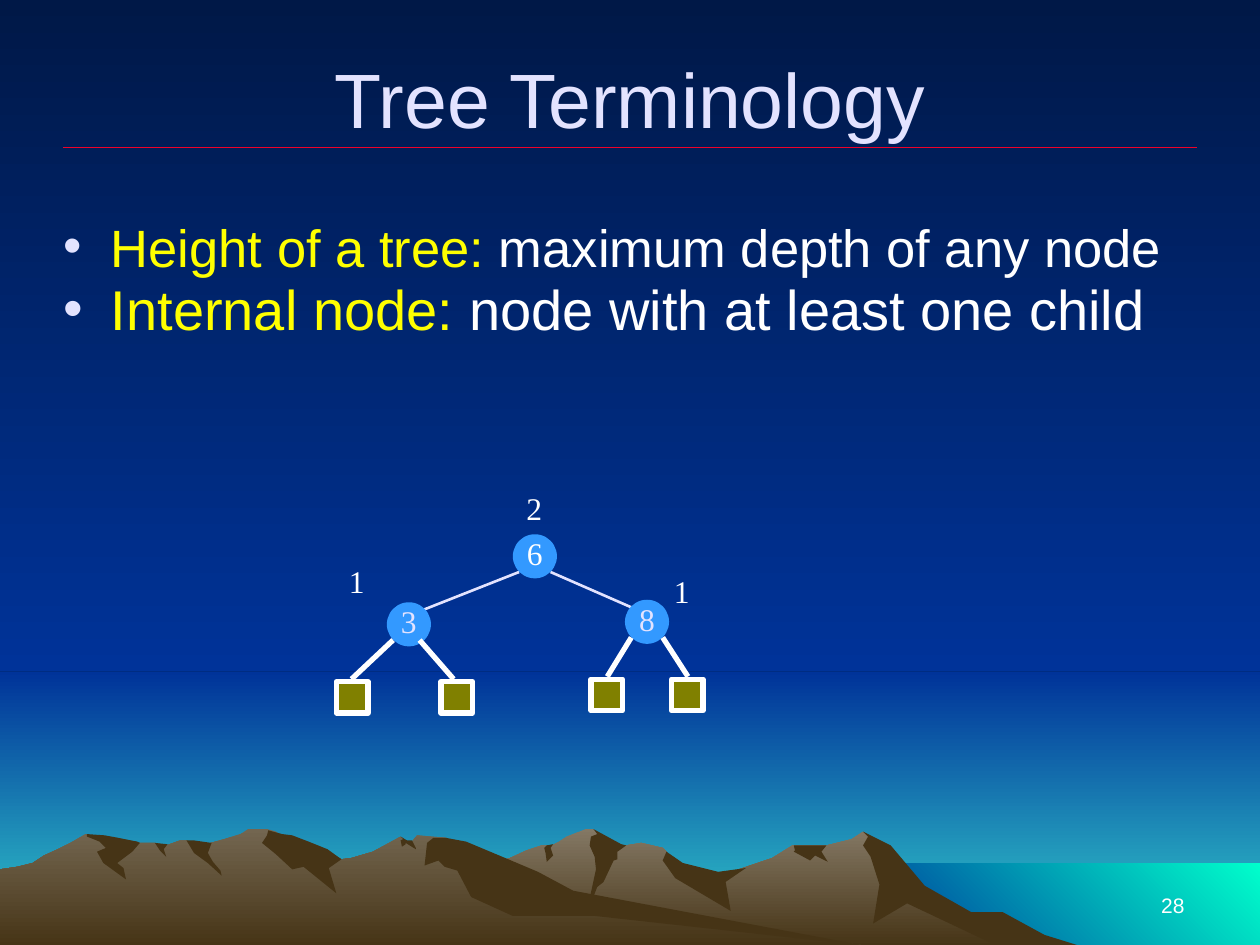
from collections import namedtuple

from lxml.etree import SubElement
from pptx import Presentation
from pptx.dml.color import RGBColor
from pptx.enum.shapes import MSO_CONNECTOR as Connector, MSO_SHAPE as Preset
from pptx.enum.text import MSO_ANCHOR as Anchor, MSO_AUTO_SIZE as AutoSize, PP_ALIGN as Align
from pptx.oxml.ns import qn
from pptx.util import Inches, Pt

Box = namedtuple("Box", "left top width height")

WHITE = RGBColor(0xFF, 0xFF, 0xFF)
LAVENDER = RGBColor(0xE3, 0xE3, 0xFF)
YELLOW = RGBColor(0xFF, 0xFF, 0x00)
RED = RGBColor(0xEF, 0x01, 0x29)
NIGHT = RGBColor(0x00, 0x18, 0x47)
BLUE = RGBColor(0x00, 0x33, 0x99)
TURQUOISE = RGBColor(0x33, 0xCC, 0xCC)
AQUA = RGBColor(0x00, 0xFF, 0xCC)
BROWN = RGBColor(0x46, 0x34, 0x16)
STONE = RGBColor(0x84, 0x78, 0x64)
DUST = RGBColor(0x73, 0x66, 0x50)
NODE_BLUE = RGBColor(0x33, 0x99, 0xFF)
OLIVE = RGBColor(0x80, 0x80, 0x00)

SANS, SERIF = "Arial", "Times New Roman"
COLUMNS, ROWS = 1000, 750
UNIT = Inches(10) // COLUMNS
DOWN, UP_RIGHT = 270, 45
NODE, LEAF = 35, 25

RIGHT_RIDGE = """544,90 520,77 506,73 465,48 444,21 427,10 418,16 398,21 371,21 355,31 308,47 278,40 271,26
268,23 251,19 239,21 228,23 216,11 213,8 207,8 192,14 186,18 180,21 172,21 160,25 147,31 137,34 97,48
69,59 19,89 0,101 563,101"""
LEFT_RIDGE = """690,101 667,98 432,62 354,15 331,13 327,18 323,18 318,14 296,26 279,31 271,32 260,26 236,31
223,13 219,10 212,8 197,8 191,12 178,16 160,21 148,17 143,17 132,21 123,19 111,19 94,21 68,12 56,19
46,24 35,29 26,35 14,38 0,40 0,101"""
RIGHT_SHADOWS = [
    """796,74 771,74 734,53 707,21 685,10 689,14 685,21 691,30 698,52 693,83 720,67 792,101 858,101
    829,92""",
    """471,8 474,12 469,14 468,21 472,30 473,40 465,77 474,54 479,50 487,33 490,32 490,26 497,21
    493,20""",
    "529,26 526,33 536,47 580,73 576,50 592,39 570,42 542,35",
    "650,21 630,21 631,25 630,26 643,33 647,29 657,34 652,26 656,21",
    "433,27 432,23 434,21 439,20 437,23 439,29 434,34",
]
LEFT_SHADOWS = [
    """212,13 208,19 219,28 232,40 241,38 267,59 261,39 271,32 260,24 245,18 232,13 224,12 213,9""",
    """370,18 354,15 344,15 339,19 337,37 348,33 353,38 363,41 374,62 407,77 472,77 690,101 683,100
    455,57 427,42 401,31""",
    "318,17 320,16 318,14 323,17 327,17 330,23 330,24 322,19 322,20 319,22",
    "154,17 168,19 165,27 169,34 175,41 176,45 165,35 154,27 148,17",
    "133,20 130,24 132,30 127,25 123,19",
    """109,18 111,19 105,26 93,35 98,39 100,48 82,35 77,26 84,23 79,18 69,14 69,12 83,13 94,15""",
]


def place(shape, box):
    """Set a shape's position and size from a box in grid units."""
    shape.left, shape.top, shape.width, shape.height = (UNIT * value for value in box)


def paint(fill, *colors, angle=DOWN):
    """Fill with one colour or with a gradient between two."""
    if len(colors) == 1:
        fill.solid()
        fill.fore_color.rgb = colors[0]
        return
    fill.gradient()
    fill.gradient_angle = angle
    for stop, color in zip(fill.gradient_stops, colors):
        stop.color.rgb = color


def finish(shape, *colors, angle=DOWN):
    """Paint a shape and take away its outline and shadow."""
    shape.shadow.inherit = False
    shape.line.fill.background()
    paint(shape.fill, *colors, angle=angle)
    return shape


def add_preset(slide, preset, box, *colors, angle=DOWN):
    """Add a preset shape in a box of grid units."""
    shape = slide.shapes.add_shape(preset, *(UNIT * value for value in box))
    return finish(shape, *colors, angle=angle)


def add_outline(slide, box, points, *colors):
    """Add a closed outline whose points are relative to the box."""
    first, *rest = [tuple(map(int, point.split(","))) for point in points.split()]
    builder = slide.shapes.build_freeform(*first, scale=UNIT)
    builder.add_line_segments(rest, close=True)
    finish(builder.convert_to_shape(UNIT * box.left, UNIT * box.top), *colors)


def add_line(slide, box, ends, color, width):
    """Add a straight line whose ends are relative to the box."""
    origin = (box.left, box.top) * 2
    points = [UNIT * (start + offset) for start, offset in zip(origin, ends)]
    line = slide.shapes.add_connector(Connector.STRAIGHT, *points)
    line.line.color.rgb = color
    line.line.width = Pt(width)
    SubElement(line.element.spPr, qn("a:effectLst"))


def write(paragraph, text, size=18, color=WHITE, font=SERIF, align=None):
    """Add a formatted run of text to a paragraph."""
    run = paragraph.add_run()
    run.text = text
    run.font.size, run.font.name, run.font.color.rgb = Pt(size), font, color
    if align is not None:
        paragraph.alignment = align


def add_label(slide, box, text, anchor=Anchor.TOP, **style):
    """Add a text box holding one line of text."""
    label = slide.shapes.add_textbox(*(UNIT * value for value in box))
    label.text_frame.word_wrap = True
    label.text_frame.vertical_anchor = anchor
    write(label.text_frame.paragraphs[0], text, **style)


def draw_scenery(slide, box):
    """Draw sky, glow, water and the two mountain ridges."""
    paint(slide.background.fill, NIGHT, BLUE)
    horizon, shore = 533, 685
    add_preset(slide, Preset.RECTANGLE, Box(0, horizon, box.width, box.height - horizon), BLUE, TURQUOISE)
    add_preset(slide, Preset.RECTANGLE, Box(0, 0, box.width, horizon), NIGHT, BLUE)
    add_preset(slide, Preset.RECTANGLE, Box(683, shore, box.width - 683, box.height - shore),
               BLUE, AQUA, angle=UP_RIGHT)
    right = Box(258, 650, 600, 100)
    add_outline(slide, right, RIGHT_RIDGE, STONE, BROWN)
    for shadow in RIGHT_SHADOWS:
        add_outline(slide, Box(0, 650, 858, 100), shadow, BROWN)
    left = Box(0, 650, 690, 100)
    add_outline(slide, left, LEFT_RIDGE, DUST, BROWN)
    for shadow in LEFT_SHADOWS:
        add_outline(slide, left, shadow, BROWN)


def fill_title(slide, box, text):
    """Write the title above its red rule."""
    add_line(slide, box, (0, 92, box.width, 92), RED, 0.75)
    title = slide.shapes.title
    slide.shapes.element.append(title.element)
    place(title, box)
    title.text_frame.vertical_anchor = Anchor.MIDDLE
    write(title.text_frame.paragraphs[0], text, 44, LAVENDER, SANS, Align.CENTER)


def add_bullet(paragraph):
    """Give a paragraph a hanging round bullet."""
    properties = paragraph._p.get_or_add_pPr()
    properties.set("marL", str(Inches(0.38)))
    properties.set("indent", str(-Inches(0.38)))
    SubElement(SubElement(properties, qn("a:buClr")), qn("a:srgbClr")).set("val", str(LAVENDER))
    SubElement(properties, qn("a:buFont")).set("typeface", SANS)
    SubElement(properties, qn("a:buChar")).set("char", "•")


def fill_definitions(slide, box, definitions):
    """Write each term and its meaning as a bullet of the body."""
    body = slide.placeholders[1]
    slide.shapes.element.append(body.element)
    place(body, box)
    frame = body.text_frame
    frame.auto_size = AutoSize.NONE
    frame.margin_top = Inches(0.11)
    for index, (term, meaning, size) in enumerate(definitions):
        paragraph = frame.add_paragraph() if index else frame.paragraphs[0]
        add_bullet(paragraph)
        paragraph.line_spacing = 0.8
        paragraph.space_before = Pt(6 if index else 0)
        write(paragraph, term, size, YELLOW, SANS)
        write(paragraph, meaning, size, WHITE, SANS)


def draw_tree(slide, box):
    """Draw the tree with its inner nodes, leaves, edges and heights."""
    for ends in [(234, 99, 170, 71), (69, 101, 145, 71)]:
        add_line(slide, box, ends, LAVENDER, 1.5)
    for key, x, y, color in [("6", 140, 41, WHITE), ("3", 40, 95, LAVENDER), ("8", 229, 93, LAVENDER)]:
        node = add_preset(slide, Preset.OVAL, Box(box.left + x, box.top + y, NODE, NODE), NODE_BLUE)
        frame = node.text_frame
        frame.margin_left = frame.margin_right = frame.margin_top = 0
        frame.margin_bottom = Inches(0.05)
        frame.word_wrap = False
        frame.vertical_anchor = Anchor.MIDDLE
        write(frame.paragraphs[0], key, color=color, align=Align.CENTER)
    for x, y in [(0, 158), (83, 158), (202, 156), (266, 156)]:
        leaf = add_preset(slide, Preset.RECTANGLE, Box(box.left + x, box.top + y, LEAF, LEAF), OLIVE)
        leaf.line.color.rgb = WHITE
        leaf.line.width = Pt(3)
    for ends in [(12, 156, 45, 125), (93, 156, 66, 125), (279, 154, 259, 123), (215, 154, 234, 123)]:
        add_line(slide, box, ends, WHITE, 3)
    for height, x, y in [("2", 141, 0), ("1", 0, 58), ("1", 258, 66)]:
        add_label(slide, Box(box.left + x, box.top + y, 42, 40), height)


def main():
    """Build the slide and save it."""
    presentation = Presentation()
    presentation.slide_width, presentation.slide_height = UNIT * COLUMNS, UNIT * ROWS
    slide = presentation.slides.add_slide(presentation.slide_layouts[1])
    draw_scenery(slide, Box(0, 0, COLUMNS, ROWS))
    add_label(slide, Box(717, 683, 233, 50), "28", Anchor.BOTTOM, size=12, font=SANS, align=Align.RIGHT)
    fill_title(slide, Box(50, 25, 900, 105), "Tree Terminology")
    fill_definitions(slide, Box(40, 169, 908, 100), [
        ("Height of a tree:", " maximum depth of any node", 30),
        ("Internal node:", " node with at least one child", 32),
    ])
    draw_tree(slide, Box(267, 383, 300, 183))
    presentation.save("out.pptx")


if __name__ == "__main__":
    main()
